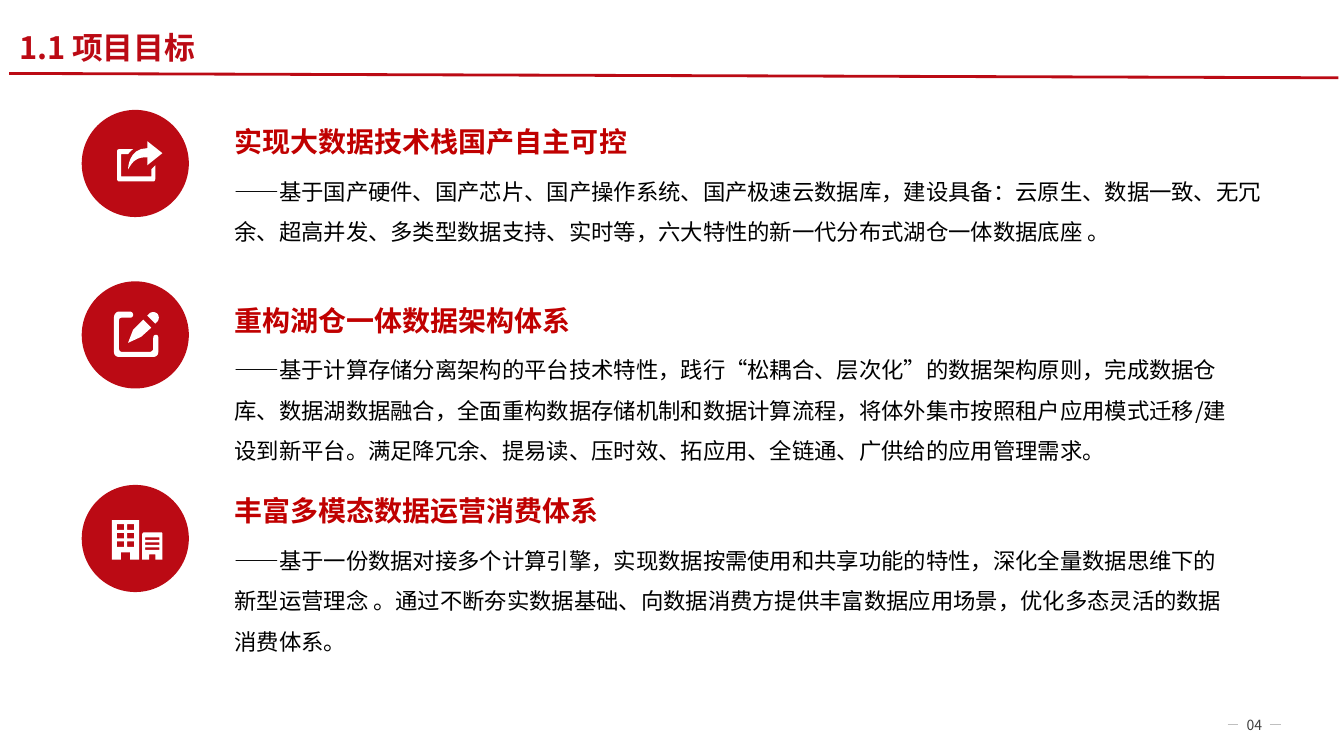
"""Build the project goals slide with three icon, heading and text rows."""
from dataclasses import dataclass

from lxml import etree
from pptx import Presentation
from pptx.dml.color import RGBColor
from pptx.enum.lang import MSO_LANGUAGE_ID
from pptx.enum.shapes import MSO_CONNECTOR, MSO_SHAPE
from pptx.enum.text import MSO_ANCHOR, MSO_AUTO_SIZE, PP_ALIGN
from pptx.oxml.ns import qn
from pptx.util import Cm, Pt

OVAL = MSO_SHAPE.OVAL
STRAIGHT = MSO_CONNECTOR.STRAIGHT
TOP, MIDDLE, BOTTOM = MSO_ANCHOR.TOP, MSO_ANCHOR.MIDDLE, MSO_ANCHOR.BOTTOM
LEFT, CENTER = PP_ALIGN.LEFT, PP_ALIGN.CENTER
GROW = MSO_AUTO_SIZE.SHAPE_TO_FIT_TEXT
FIXED = MSO_AUTO_SIZE.NONE
CHINESE = MSO_LANGUAGE_ID.SIMPLIFIED_CHINESE

FONT = "Noto Sans CJK SC"
COLORS = {"brand": "BB0A14", "heading": "C00000", "body": "000000",
          "page": "404040", "dash": "BFBFBF", "icon": "FFFFFF"}

CIRCLE_LEFT, CIRCLE_SIZE = 2.06, 2.7
TEXT_LEFT, BODY_OFFSET = 5.66, 1.43
ICON_UNIT = Cm(2.54) / 100
CURVE_STEPS = 8

Segment = tuple[float, ...]
Contour = list[Segment]


@dataclass
class Goal:
    """One row: icon contours, heading and explanation, placed in cm."""
    heading: str
    body: str
    circle_top: float
    heading_top: float
    heading_width: float
    body_width: float
    icon: list[Contour]


@dataclass
class Rule:
    """A straight line between two points in cm."""
    x1: float
    y1: float
    x2: float
    y2: float
    color: str
    width: float


def rect(left: float, top: float, width: float, height: float) -> Contour:
    """Return a rectangular contour."""
    right, bottom = left + width, top + height
    return [(left, top), (right, top), (right, bottom), (left, bottom)]


def flatten(contour: Contour) -> list[tuple[float, float]]:
    """Turn points and six-number Bezier segments into EMU vertices."""
    pts = [contour[0]]
    for seg in contour[1:]:
        if len(seg) == 2:
            pts.append(seg)
            continue
        a, b, c, d = pts[-1], seg[:2], seg[2:4], seg[4:]
        for step in range(1, CURVE_STEPS + 1):
            t = step / CURVE_STEPS
            u = 1 - t
            pts.append(tuple(u**3 * a[i] + 3 * u * u * t * b[i] + 3 * u * t * t * c[i] + t**3 * d[i]
                             for i in (0, 1)))
    return [(x * ICON_UNIT, y * ICON_UNIT) for x, y in pts]


def paint(sp, color: str) -> None:
    """Give a shape a flat fill without line or shadow."""
    sp.shadow.inherit = False
    sp.fill.solid()
    sp.fill.fore_color.rgb = RGBColor.from_string(COLORS[color])
    sp.line.fill.background()


def add_text(s, text: str, *, left: float, top: float, width: float, height: float,
             size: float, color: str, bold: bool = False, spacing: float = 1.0,
             align=LEFT, anchor=TOP, fit=FIXED) -> None:
    """Add a wrapped one-paragraph text box."""
    sp = s.shapes.add_textbox(Cm(left), Cm(top), Cm(width), Cm(height))
    tf = sp.text_frame
    tf.word_wrap = True
    tf.auto_size = fit
    tf.vertical_anchor = anchor
    p = tf.paragraphs[0]
    p.alignment = align
    p.line_spacing = spacing
    r = p.add_run()
    r.text = text
    r.font.size = Pt(size)
    r.font.bold = bold
    r.font.name = FONT
    r.font.language_id = CHINESE
    r.font.color.rgb = RGBColor.from_string(COLORS[color])
    etree.SubElement(r.font._element, qn("a:ea"), typeface=FONT)


def add_rule(s, rule: Rule) -> None:
    """Draw a straight line without shadow."""
    sp = s.shapes.add_connector(STRAIGHT, Cm(rule.x1), Cm(rule.y1), Cm(rule.x2), Cm(rule.y2))
    sp.line.color.rgb = RGBColor.from_string(COLORS[rule.color])
    sp.line.width = Pt(rule.width)
    etree.SubElement(sp._element.spPr, qn("a:effectLst"))


def add_icon(s, goal: Goal) -> None:
    """Draw the circle and its icon as one group."""
    group = s.shapes.add_group_shape()
    left, top = Cm(CIRCLE_LEFT), Cm(goal.circle_top)
    paint(group.shapes.add_shape(OVAL, left, top, Cm(CIRCLE_SIZE), Cm(CIRCLE_SIZE)), "brand")
    first, *others = [flatten(contour) for contour in goal.icon]
    builder = group.shapes.build_freeform(*first[0])
    builder.add_line_segments(first[1:])
    for pts in others:
        builder.move_to(*pts[0])
        builder.add_line_segments(pts[1:])
    paint(builder.convert_to_shape(left, top), "icon")


def add_goal(s, goal: Goal) -> None:
    """Draw one row."""
    add_icon(s, goal)
    add_text(s, goal.heading, left=TEXT_LEFT, top=goal.heading_top, width=goal.heading_width,
             height=1.35, size=20, color="heading", bold=True, spacing=1.5, fit=GROW)
    add_text(s, goal.body, left=TEXT_LEFT, top=goal.heading_top + BODY_OFFSET,
             width=goal.body_width, height=3.18, size=16, color="body", spacing=1.5, fit=GROW)


SHARE = [
    [(69, 66), (39, 66), (39, 44), (46, 44), (46, 44, 48, 41, 51, 39), (37, 39),
     (36, 39, 35, 40, 35, 41), (35, 68), (35, 70, 36, 71, 37, 71), (71, 71),
     (72, 71, 73, 70, 73, 68), (73, 55), (69, 59)],
    [(65, 47), (65, 55), (80, 43), (65, 31), (65, 38), (46, 38, 46, 59, 46, 59),
     (51, 50, 55, 47, 65, 47)],
]
EDIT = [
    [(75, 40), (73, 42), (65, 34), (67, 32), (69, 30, 73, 30, 75, 32), (77, 34, 77, 38, 75, 40)],
    [(69, 46), (59, 55), (46, 61), (51, 48), (61, 38)],
    [(48, 36), (40, 36), (38, 36, 37, 37, 37, 39), (37, 67), (37, 68, 38, 70, 40, 70),
     (68, 70), (69, 70, 71, 68, 71, 67), (71, 56), (71, 54, 72, 53, 74, 53),
     (75, 53, 76, 54, 76, 56), (76, 70), (76, 73, 74, 75, 71, 75), (37, 75),
     (34, 75, 32, 73, 32, 70), (32, 36), (32, 33, 34, 30, 37, 30), (48, 30),
     (50, 30, 51, 32, 51, 33), (51, 35, 50, 36, 48, 36)],
]
BUILDINGS = [
    [(30, 35), (57, 35), (57, 74), (48, 74), (48, 67), (39, 67), (39, 74), (30, 74)],
    *[rect(35 + 10 * col, 39 + 8.5 * row, 7, 5.5) for row in range(3) for col in range(2)],
    [(62, 47), (79, 47), (80, 47, 80, 48, 80, 49), (80, 74), (73, 74), (73, 69), (67, 69),
     (67, 74), (60, 74), (60, 49), (60, 48, 61, 47, 62, 47)],
    *[rect(63, 52 + 5 * row, 14, 2.5) for row in range(3)],
]

GOALS = [
    Goal("实现大数据技术栈国产自主可控",
         "——基于国产硬件、国产芯片、国产操作系统、国产极速云数据库，建设具备：云原生、数据一致、无冗余、"
         "超高并发、多类型数据支持、实时等，六大特性的新一代分布式湖仓一体数据底座 。",
         2.77, 2.59, 15.52, 26.44, SHARE),
    Goal("重构湖仓一体数据架构体系",
         "——基于计算存储分离架构的平台技术特性，践行“松耦合、层次化”的数据架构原则，完成数据仓库、"
         "数据湖数据融合，全面重构数据存储机制和数据计算流程，将体外集市按照租户应用模式迁移/建设到新平台。"
         "满足降冗余、提易读、压时效、拓应用、全链通、广供给的应用管理需求。",
         7.09, 7.09, 15.52, 25.68, EDIT),
    Goal("丰富多模态数据运营消费体系",
         "——基于一份数据对接多个计算引擎，实现数据按需使用和共享功能的特性，深化全量数据思维下的"
         "新型运营理念 。通过不断夯实数据基础、向数据消费方提供丰富数据应用场景，优化多态灵活的数据消费体系。",
         12.22, 11.9, 12.62, 25.65, BUILDINGS),
]
RULES = [
    Rule(30.94, 18.26, 31.19, 18.26, "dash", 0.5),
    Rule(32, 18.26, 32.28, 18.26, "dash", 0.5),
    Rule(0.23, 1.85, 33.73, 1.96, "brand", 2),
]


def main() -> None:
    """Create and save the presentation."""
    prs = Presentation()
    prs.slide_width, prs.slide_height = Cm(33.87), Cm(19.05)
    s = prs.slides.add_slide(prs.slide_layouts[6])
    for rule in RULES:
        add_rule(s, rule)
    add_text(s, "04", left=30.02, top=17.93, width=3.18, height=0.69, size=10, color="page",
             align=CENTER, anchor=MIDDLE)
    add_text(s, "1.1 项目目标", left=0.23, top=0.66, width=32.54, height=1.14, size=22,
             color="brand", bold=True, spacing=0.9, anchor=BOTTOM)
    for goal in GOALS:
        add_goal(s, goal)
    prs.save("out.pptx")


if __name__ == "__main__":
    main()
